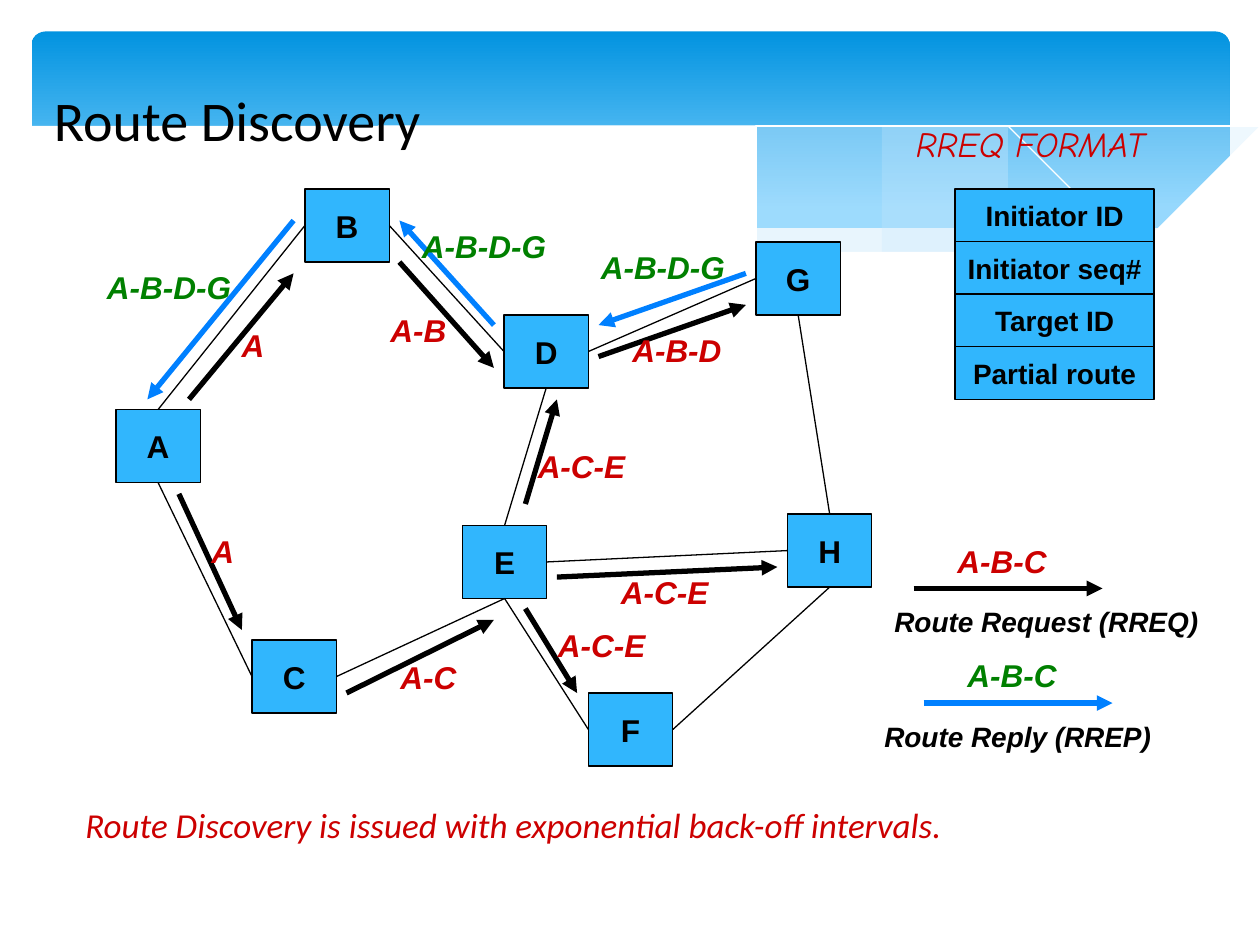
from lxml import etree
from pptx import Presentation
from pptx import util as u
from pptx.dml.color import RGBColor
from pptx.enum import shapes, text
from pptx.oxml.ns import qn

BLACK = RGBColor(0x00, 0x00, 0x00)
WHITE = RGBColor(0xFF, 0xFF, 0xFF)
RED = RGBColor(0xCC, 0x00, 0x00)
GREEN = RGBColor(0x00, 0x80, 0x00)
BLUE = RGBColor(0x00, 0x80, 0xFF)
BOX_BLUE = RGBColor(0x31, 0xB6, 0xFD)
BAND_TOP = RGBColor(0x02, 0x93, 0xE0)
BAND_BOTTOM = RGBColor(0x83, 0xD3, 0xFE)
PALE = RGBColor(0xC6, 0xE7, 0xFC)

TOP, LEFT, BOTTOM, RIGHT = range(4)


def smooth(points, steps=6):
    """Return a Catmull-Rom curve through the points."""
    padded = [points[0], *points, points[-1]]
    curve = [points[0]]
    for a, b, c, d in zip(padded, padded[1:], padded[2:], padded[3:]):
        for i in range(1, steps + 1):
            t = i / steps
            curve.append(tuple(
                0.5 * (2 * q + (r - p) * t + (2 * p - 5 * q + 4 * r - s) * t ** 2
                       + (3 * q - p - 3 * r + s) * t ** 3)
                for p, q, r, s in zip(a, b, c, d)))
    return curve


class Diagram:
    def __init__(self, slide):
        self.shapes = slide.shapes

    def band(self, x, y, w, h):
        s = self.shapes.add_shape(shapes.MSO_SHAPE.ROUNDED_RECTANGLE,
                                  *map(u.Inches, (x, y, w, h)))
        s.adjustments[0] = 0.071
        s.shadow.inherit = False
        s.line.fill.background()
        s.fill.gradient()
        s.fill.gradient_angle = 270
        for stop, color, pos in zip(s.fill.gradient_stops,
                                    (BAND_TOP, BAND_BOTTOM), (0, 0.9)):
            stop.color.rgb, stop.position = color, pos

    def wave(self, points, fill=None, alpha=100):
        """Filled outline, or a white hairline when no fill is given."""
        builder = self.shapes.build_freeform(*points[0], scale=u.Inches(1))
        builder.add_line_segments(points[1:], close=fill is not None)
        s = builder.convert_to_shape()
        s.shadow.inherit = False
        if fill is None:
            s.fill.background()
            s.line.color.rgb = WHITE
            s.line.width = u.Pt(0)
            return
        s.line.fill.background()
        s.fill.solid()
        s.fill.fore_color.rgb = fill
        if alpha < 100:
            clr = s._element.spPr.find(qn("a:solidFill")).find(qn("a:srgbClr"))
            etree.SubElement(clr, qn("a:alpha"), val=str(alpha * 1000))

    def set_text(self, s, words, size, color, bold, italic, font):
        p = s.text_frame.paragraphs[0]
        p.text = words
        f = p.font
        f.name, f.size, f.bold, f.italic = font, u.Pt(size), bold, italic
        f.color.rgb = color
        return p

    def box(self, words, x, y, w, h, size=18):
        s = self.shapes.add_shape(shapes.MSO_SHAPE.RECTANGLE,
                                  *map(u.Inches, (x, y, w, h)))
        s.shadow.inherit = False
        s.fill.solid()
        s.fill.fore_color.rgb = BOX_BLUE
        s.line.color.rgb = BLACK
        s.line.width = u.Pt(0.75)
        tf = s.text_frame
        tf.word_wrap = False
        tf.vertical_anchor = text.MSO_ANCHOR.MIDDLE
        p = self.set_text(s, words, size, BLACK, True, False, "Arial")
        p.alignment = text.PP_ALIGN.CENTER
        return s

    def label(self, words, x, y, w, h=0.4, size=18, color=RED, bold=True,
              italic=True, font="Arial", wrap=False):
        s = self.shapes.add_textbox(*map(u.Inches, (x, y, w, h)))
        s.text_frame.word_wrap = wrap
        s.text_frame.auto_size = text.MSO_AUTO_SIZE.SHAPE_TO_FIT_TEXT
        return self.set_text(s, words, size, color, bold, italic, font)

    def line(self, x1, y1, x2, y2, color=BLACK, width=0.75):
        s = self.shapes.add_connector(shapes.MSO_CONNECTOR.STRAIGHT,
                                      *map(u.Inches, (x1, y1, x2, y2)))
        s.line.color.rgb = color
        s.line.width = u.Pt(width)
        etree.SubElement(s._element.spPr, qn("a:effectLst"))
        return s

    def link(self, start, start_side, end, end_side):
        s = self.line(0, 0, 1, 1)
        s.begin_connect(start, start_side)
        s.end_connect(end, end_side)

    def arrow(self, x1, y1, x2, y2, color=BLACK, width=3):
        s = self.line(x1, y1, x2, y2, color, width)
        ln = s._element.spPr.find(qn("a:ln"))
        etree.SubElement(ln, qn("a:tailEnd"), type="triangle")


def main():
    prs = Presentation()
    prs.slide_width, prs.slide_height = u.Inches(10), u.Inches(7.5)
    d = Diagram(prs.slides.add_slide(prs.slide_layouts[6]))

    # Header band with waves
    d.band(0.25, 0.25, 9.51, 1.56)
    d.wave(smooth([(9.76, 0.94), (9.21, 1.04), (8.61, 1.18), (7.53, 1.43), (6.61, 1.6)])
           + smooth([(6.61, 1.6), (7.19, 1.67), (7.81, 1.72), (8.35, 1.72),
                     (8.81, 1.67), (9.28, 1.58), (9.76, 1.41)]), PALE, 29)
    d.wave(smooth([(8.93, 1.67), (8.07, 1.54), (7.06, 1.34), (6.29, 1.16), (5.41, 0.97),
                   (4.65, 0.86), (3.8, 0.8), (3.28, 0.81), (2.86, 0.86)])
           + smooth([(2.86, 0.86), (3.62, 0.97), (4.49, 1.16), (5.66, 1.43), (6.5, 1.58),
                     (7.22, 1.68), (7.96, 1.73), (8.48, 1.72), (8.93, 1.67)]), PALE, 40)
    d.wave(smooth([(3.09, 0.9), (3.44, 0.84), (4.16, 0.81), (5.1, 0.86), (6.08, 0.98),
                   (6.95, 1.14), (7.95, 1.36), (9.07, 1.66)]))
    d.wave(smooth([(6.13, 1.51), (6.95, 1.3), (8.06, 1.04), (8.95, 0.88), (9.75, 0.8)]))
    d.wave(smooth([(9.77, 1.41), (9.3, 1.57), (8.75, 1.67), (8.09, 1.71), (7.26, 1.67),
                   (6.48, 1.56), (5.55, 1.39), (4.47, 1.14), (3.65, 0.96), (2.92, 0.85),
                   (2.3, 0.79), (1.77, 0.78), (1.19, 0.82), (0.67, 0.91), (0.23, 1.07)])
           + [(0.23, 2.24), (9.77, 2.24)], WHITE)

    # Network nodes and links
    places = {"A": (0.92, 3.25), "B": (2.42, 1.5), "C": (2, 5.08), "E": (3.67, 4.17),
              "D": (4, 2.5), "G": (6, 1.92), "H": (6.25, 4.08), "F": (4.67, 5.5)}
    nodes = {name: d.box(name, x, y, 0.67, 0.58) for name, (x, y) in places.items()}
    for start, start_side, end, end_side in [
            ("A", TOP, "B", LEFT), ("B", RIGHT, "D", LEFT), ("D", BOTTOM, "E", TOP),
            ("A", BOTTOM, "C", LEFT), ("C", RIGHT, "E", BOTTOM), ("E", BOTTOM, "F", LEFT),
            ("D", RIGHT, "G", LEFT), ("G", BOTTOM, "H", TOP), ("F", RIGHT, "H", BOTTOM),
            ("E", RIGHT, "H", LEFT)]:
        d.link(nodes[start], start_side, nodes[end], end_side)

    # Route requests
    for ends in [(1.42, 3.92, 1.92, 5), (1.5, 3.17, 2.33, 2.17), (3.17, 2.08, 3.92, 2.92),
                 (2.75, 5.5, 3.92, 4.92), (4.17, 4.83, 4.58, 5.5), (4.42, 4.58, 6.17, 4.5),
                 (4.17, 4, 4.42, 3.17), (4.75, 2.83, 5.92, 2.42)]:
        d.arrow(*ends)
    for route, x, y, w in [("A", 1.82, 2.54, 0.38), ("A", 1.58, 4.17, 0.38),
                           ("A-B", 3, 2.42, 0.65), ("A-C", 3.08, 5.17, 0.65),
                           ("A-C-E", 4.17, 3.5, 0.9), ("A-C-E", 4.83, 4.5, 0.9),
                           ("A-C-E", 4.33, 4.92, 0.9), ("A-B-D", 4.92, 2.58, 0.91)]:
        d.label(route, x, y, w)
    d.arrow(5.92, 2.08, 5.92, 2.08, width=0.75)

    # Route replies
    for ends in [(5.92, 2.17, 4.75, 2.58), (3.92, 2.58, 3.17, 1.75), (2.33, 1.75, 1.17, 3.17)]:
        d.arrow(*ends, color=BLUE)
    for x, y in [(4.67, 1.92), (3.25, 1.75), (0.75, 2.08)]:
        d.label("A-B-D-G", x, y, 1.19, color=GREEN)

    # Title
    p = d.label("Route Discovery", 0.33, 0.58, 9, 0.75, 32, BLACK, False, False,
                "Calibri", wrap=True)
    p.line_spacing = 1.1

    # Legend
    for name, x, y, name_x, w, line_color, color in [
            ("Route Request (RREQ)", 7.25, 4.67, 7, 2.67, BLACK, RED),
            ("Route Reply (RREP)", 7.33, 5.58, 6.92, 2.75, BLUE, GREEN)]:
        d.arrow(x, y, x + 1.5, y, line_color)
        d.label("A-B-C", x + 0.25, y - 0.42, 0.91, color=color)
        d.label(name, name_x, y + 0.08, w, 0.37, 16, BLACK, wrap=True)

    # Closing remark
    d.label("Route Discovery is issued with exponential back-off intervals.",
            0.58, 6.33, 8.5, 0.43, 20, bold=False, font="Calibri", wrap=True)

    # Request format
    fields = ["Initiator ID", "Initiator seq#", "Target ID", "Partial route"]
    for i, field in enumerate(fields):
        d.box(field, 7.58, 1.5 + i * 1.25 / 3, 1.58, 0.42, 16)
    p = d.label("RREQ FORMAT", 6.17, 0.92, 3.26, 0.43, 20, bold=False, font="Comic Neue")
    pPr = p._p.get_or_add_pPr()
    pPr.set("marL", str(u.Inches(1.25)))
    pPr.set("indent", str(u.Inches(-0.25)))

    prs.save("out.pptx")


if __name__ == "__main__":
    main()
